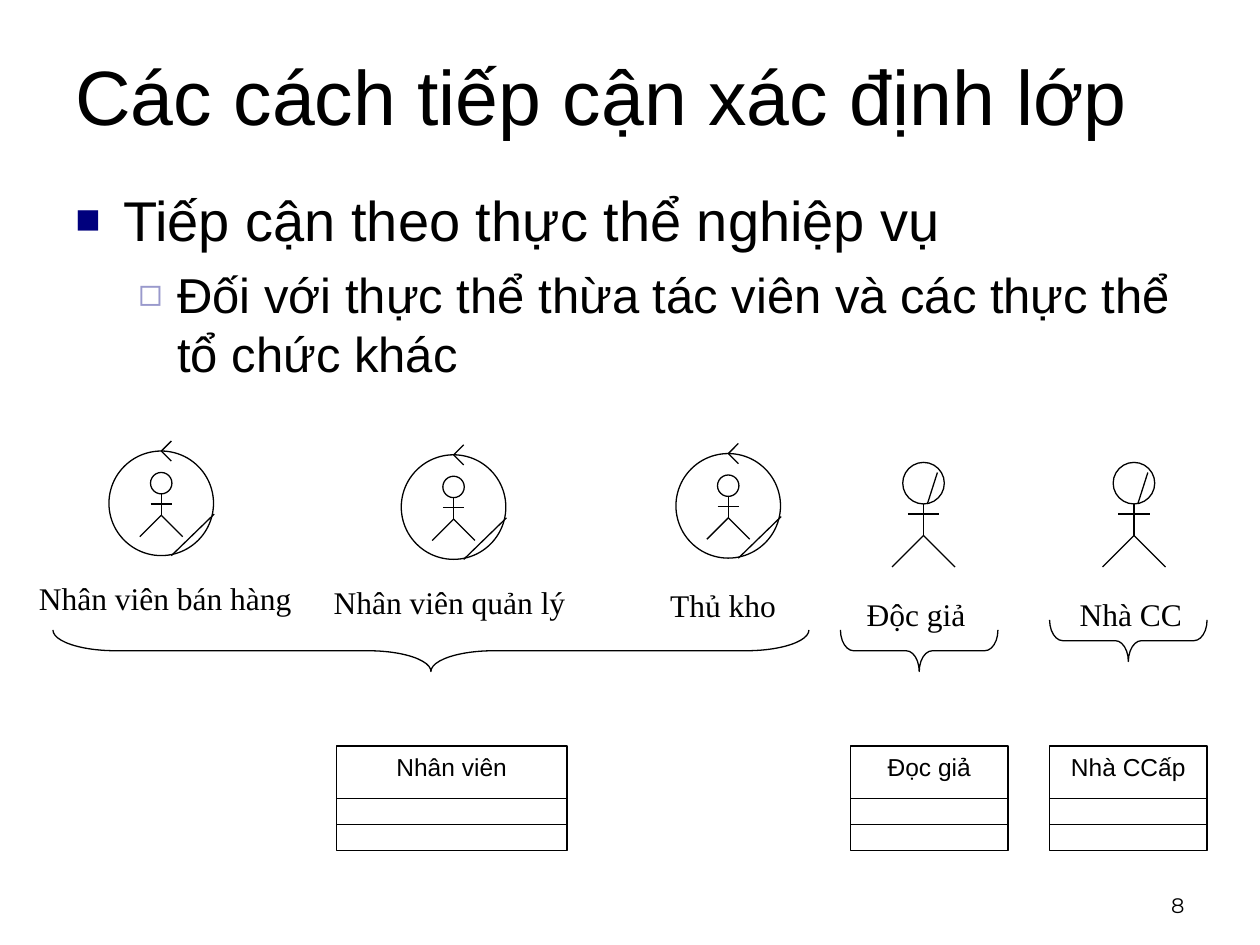
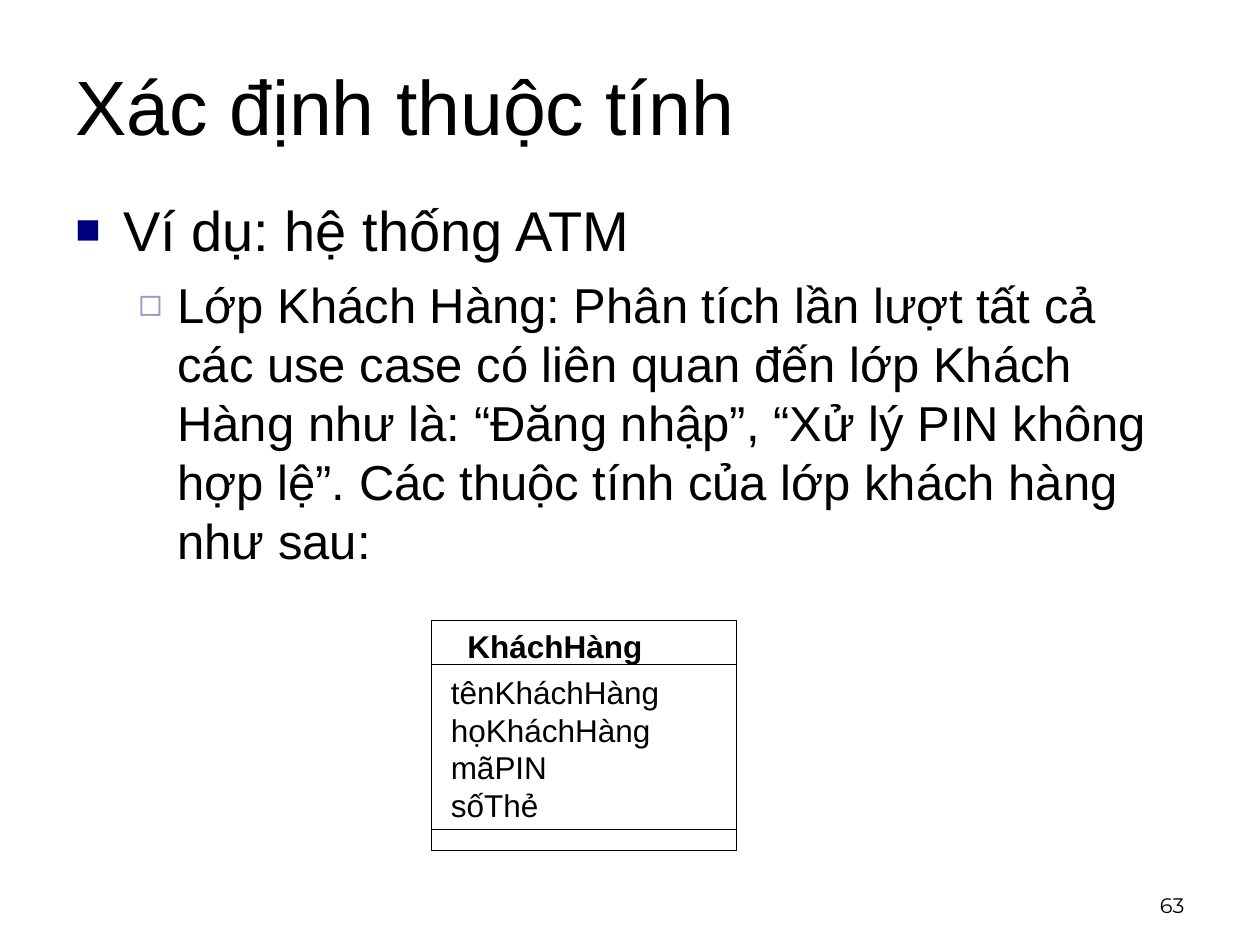
from lxml.etree import SubElement
from pptx import Presentation
from pptx.dml.color import RGBColor
from pptx.enum.shapes import MSO_CONNECTOR, MSO_SHAPE
from pptx.enum.text import MSO_ANCHOR, MSO_AUTO_SIZE, PP_ALIGN
from pptx.oxml.ns import qn
from pptx.util import Inches, Pt

COLORS = {"ink": "000000", "bullet": "00007D", "sub_bullet": "9999CC"}
SANS, SERIF, NUMBER_FONT = "Arial", "Times New Roman", "Montserrat"

# Bullet levels: size, space before, left margin, hanging indent, bullet, colour, percent
LEVELS = [
    (32, 0, 0.38, 0.38, "■", "bullet", 75),
    (28, 7, 0.81, 0.31, "◻", "sub_bullet", 80),
]


def rgb(name):
    return RGBColor.from_string(COLORS[name])


def box(left, top, width, height):
    return [Inches(value) for value in (left, top, width, height)]


def format_runs(text_frame, size, font=SANS, bold=False):
    for paragraph in text_frame.paragraphs:
        for run in paragraph.runs:
            run.font.size = Pt(size)
            run.font.name = font
            run.font.bold = bold
            run.font.color.rgb = rgb("ink")


# Text
def add_text(slide, place, text, size, font=SANS, bold=False, anchor=MSO_ANCHOR.TOP,
             align=PP_ALIGN.LEFT):
    shape = slide.shapes.add_textbox(*box(*place))
    text_frame = shape.text_frame
    text_frame.word_wrap = True
    text_frame.vertical_anchor = anchor
    text_frame.text = text
    for paragraph in text_frame.paragraphs:
        paragraph.alignment = align
    format_runs(text_frame, size, font, bold)
    return text_frame


def add_label(slide, place, text, font=SANS, bold=False):
    text_frame = add_text(slide, place, text, 18, font, bold)
    text_frame.word_wrap = False
    text_frame.auto_size = MSO_AUTO_SIZE.SHAPE_TO_FIT_TEXT
    return text_frame


def add_bullets(slide, top, texts):
    text_frame = add_text(slide, (0.5, top, 9, 4.25), "\n".join(texts), 28)
    for level, paragraph in enumerate(text_frame.paragraphs):
        size, space, margin, hanging, character, color, percent = LEVELS[level]
        properties = paragraph._p.get_or_add_pPr()
        properties.set("marL", str(Inches(margin)))
        properties.set("indent", str(-Inches(hanging)))
        bullet_color = SubElement(properties, qn("a:buClr"))
        SubElement(bullet_color, qn("a:srgbClr")).set("val", COLORS[color])
        SubElement(properties, qn("a:buSzPct")).set("val", str(percent * 1000))
        SubElement(properties, qn("a:buFont")).set("typeface", SANS)
        SubElement(properties, qn("a:buChar")).set("char", character)
        paragraph.level = level
        paragraph.space_before = Pt(space)
        for run in paragraph.runs:
            run.font.size = Pt(size)


def add_base_slide(presentation, title, number, top, bullets):
    slide = presentation.slides.add_slide(presentation.slide_layouts[6])
    add_text(slide, (0.5, top, 9, 1.5), title, 44, anchor=MSO_ANCHOR.MIDDLE)
    add_bullets(slide, top + 1.42, bullets)
    add_text(slide, (7.17, 6.83, 2.33, 0.5), number, 12, NUMBER_FONT,
             anchor=MSO_ANCHOR.BOTTOM, align=PP_ALIGN.RIGHT)
    return slide


# Outlines and lines
def add_outline(slide, kind, place, weight=0.75):
    shape = slide.shapes.add_shape(kind, *box(*place))
    shape.shadow.inherit = False
    shape.fill.background()
    shape.line.color.rgb = rgb("ink")
    shape.line.width = Pt(weight)
    return shape


def add_line(slide, start, end):
    line = slide.shapes.add_connector(
        MSO_CONNECTOR.STRAIGHT, *[Inches(value) for value in (*start, *end)])
    line.line.color.rgb = rgb("ink")
    line.line.width = Pt(0.75)
    SubElement(line._element.spPr, qn("a:effectLst"))
    return line


def add_circle(slide, center, top, diameter):
    add_outline(slide, MSO_SHAPE.OVAL, (center - diameter / 2, top, diameter, diameter))


# Use case figures
def add_stick_figure(slide, center, top, head, limb):
    neck, hip = top + head, top + head + limb
    arms = neck + 0.08
    add_circle(slide, center, top, head)
    add_line(slide, (center, neck), (center, hip))
    for side in (-limb, limb):
        add_line(slide, (center, hip), (center + side, hip + limb))
    add_line(slide, (center - limb / 2, arms), (center + limb / 2, arms))


def add_worker(slide, center, top):
    add_circle(slide, center, top, 0.83)
    for rise in (-0.08, 0.08):
        add_line(slide, (center, top), (center + 0.08, top + rise))
    add_stick_figure(slide, center, top + 0.17, 0.17, 0.17)
    add_line(slide, (center + 0.42, top + 0.5), (center + 0.08, top + 0.83))


def add_actor(slide, center, top):
    add_stick_figure(slide, center, top, 0.33, 0.25)
    add_line(slide, (center + 0.11, top + 0.08), (center + 0.03, top + 0.33))


def add_brace(slide, left, top, length):
    depth = 0.33
    place = (left + (length - depth) / 2, top + (depth - length) / 2, depth, length)
    brace = add_outline(slide, MSO_SHAPE.RIGHT_BRACE, place)
    brace.adjustments[0] = length / 12 / depth
    brace.rotation = 90


def add_class(slide, left, width, name):
    top, height = 5.92, 0.83
    shape = add_outline(slide, MSO_SHAPE.RECTANGLE, (left, top, width, height))
    text_frame = shape.text_frame
    text_frame.vertical_anchor = MSO_ANCHOR.TOP
    text_frame.text = name
    text_frame.paragraphs[0].alignment = PP_ALIGN.CENTER
    format_runs(text_frame, 14)
    for share in (0.5, 0.75):
        y = top + height * share
        line = add_line(slide, (left, y), (left + width, y))
        if share == 0.5:
            line.begin_connect(shape, 1)
            line.end_connect(shape, 3)


def add_class_approach_slide(presentation):
    slide = add_base_slide(presentation, "Các cách tiếp cận xác định lớp", "8", 0, [
        "Tiếp cận theo thực thể nghiệp vụ",
        "Đối với thực thể thừa tác viên và các thực thể tổ chức khác",
    ])
    # Workers and actors: drawing function, centre, top, name, label left, top, width
    figures = [
        (add_worker, 1.28, 3.58, "Nhân viên bán hàng", 0.21, 4.55, 2.61),
        (add_worker, 3.6, 3.61, "Nhân viên quản lý", 2.55, 4.58, 2.4),
        (add_worker, 5.78, 3.6, "Thủ kho", 5.22, 4.6, 1.18),
        (add_actor, 7.33, 3.67, "Độc giả", 6.78, 4.67, 1.07),
        (add_actor, 9, 3.67, "Nhà CC", 8.47, 4.67, 1.06),
    ]
    for draw, center, top, name, label_left, label_top, label_width in figures:
        draw(slide, center, top)
        add_label(slide, (label_left, label_top, label_width, 0.4), name, SERIF)
    # Braces from the figures to their classes
    for left, top, length in [(0.42, 5, 6), (6.67, 5, 1.25), (8.33, 4.92, 1.25)]:
        add_brace(slide, left, top, length)
    for left, width, name in [(2.67, 1.83, "Nhân viên"), (6.75, 1.25, "Đọc giả"),
                              (8.33, 1.25, "Nhà CCấp")]:
        add_class(slide, left, width, name)


def add_attribute_slide(presentation):
    slide = add_base_slide(presentation, "Xác định thuộc tính", "63", 0.08, [
        "Ví dụ: hệ thống ATM",
        "Lớp Khách Hàng: Phân tích lần lượt tất cả các use case có liên quan đến lớp "
        "Khách Hàng như là: “Đăng nhập”, “Xử lý PIN không hợp lệ”. Các thuộc tính của "
        "lớp khách hàng như sau:",
    ])
    # Customer class: nested boxes with one shared bottom edge
    for top in (4.92, 5.27, 6.58):
        add_outline(slide, MSO_SHAPE.RECTANGLE, (3.42, top, 2.42, 6.75 - top), 0.2)
    name = add_label(slide, (3.71, 4.98, 1.39, 0.3), "KháchHàng", bold=True)
    name.margin_left = name.margin_right = name.margin_top = name.margin_bottom = 0
    attributes = ["tênKháchHàng", "họKháchHàng", "mãPIN", "sốThẻ"]
    add_text(slide, (3.48, 5.29, 2.3, 1.3), "\n".join(attributes), 18)


def main():
    presentation = Presentation()
    presentation.slide_width = Inches(10)
    presentation.slide_height = Inches(7.5)
    add_class_approach_slide(presentation)
    add_attribute_slide(presentation)
    presentation.save("out.pptx")


if __name__ == "__main__":
    main()
